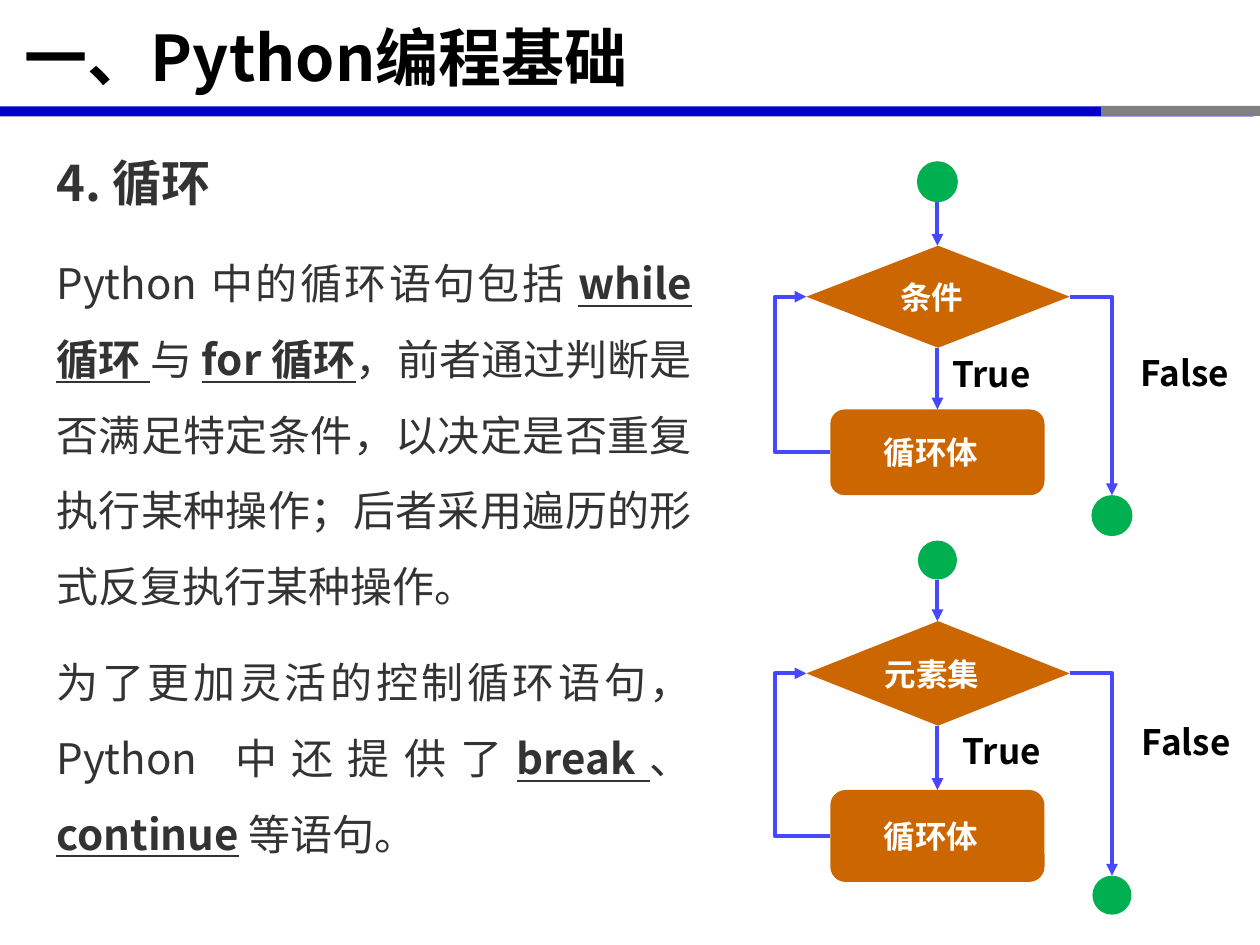
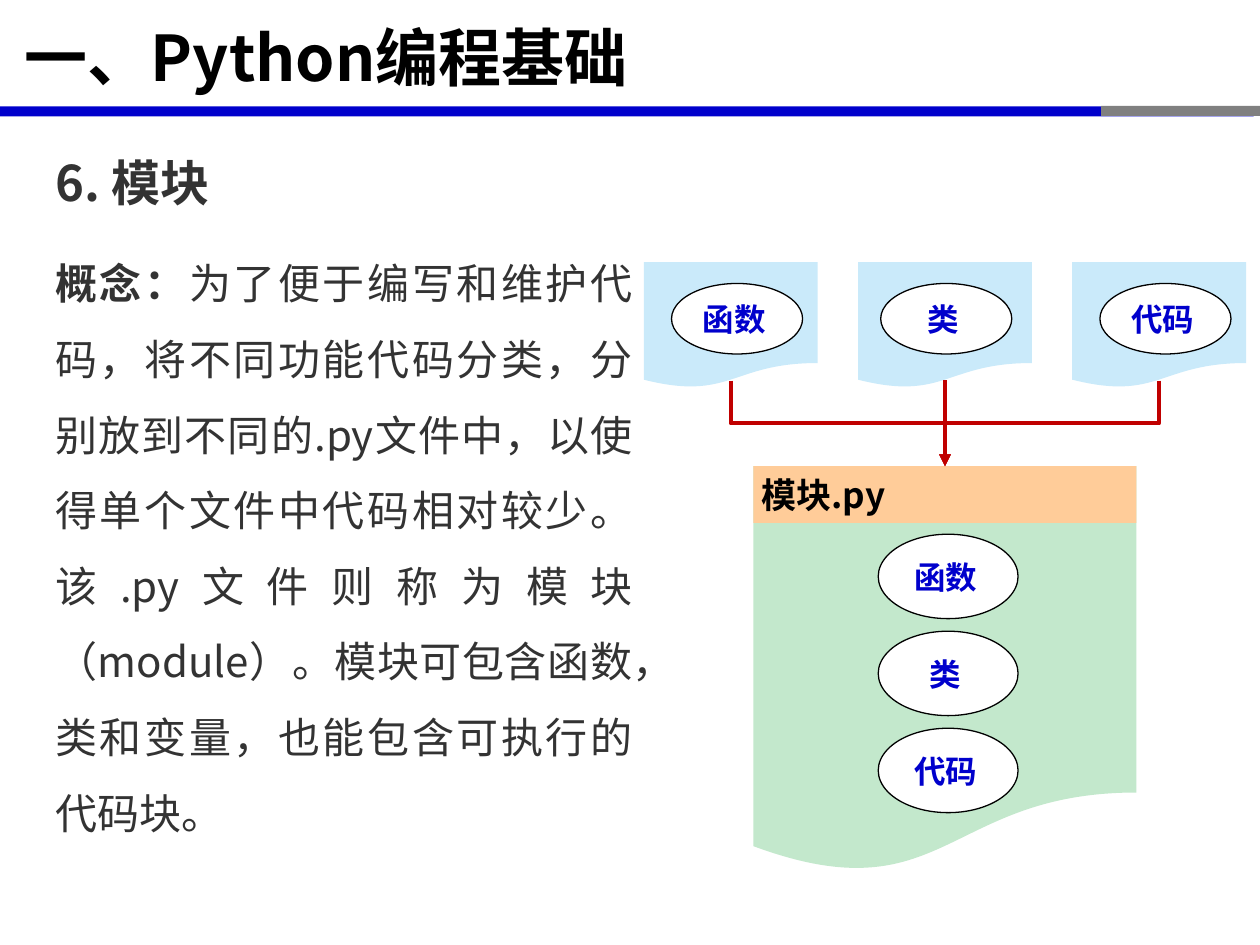
from lxml.etree import SubElement
from pptx import Presentation
from pptx.dml.color import RGBColor
from pptx.enum.shapes import MSO_CONNECTOR as Link, MSO_SHAPE as Form
from pptx.enum.text import MSO_ANCHOR as Anchor, PP_ALIGN as Align
from pptx.oxml.ns import qn
from pptx.util import Inches, Pt

BLACK = RGBColor(0x00, 0x00, 0x00)
WHITE = RGBColor(0xFF, 0xFF, 0xFF)
BLUE = RGBColor(0x00, 0x00, 0xCC)
GRAY = RGBColor(0x80, 0x80, 0x80)
INK = RGBColor(0x33, 0x33, 0x33)
GREEN = RGBColor(0x00, 0xB0, 0x50)
ORANGE = RGBColor(0xCC, 0x66, 0x00)
ARROW_BLUE = RGBColor(0x47, 0x47, 0xFF)
ARROW_RED = RGBColor(0xC0, 0x00, 0x00)
PAGE_BLUE = RGBColor(0xCA, 0xEA, 0xFA)
PAGE_GREEN = RGBColor(0xC3, 0xE8, 0xCC)
PEACH = RGBColor(0xFF, 0xCC, 0x99)

FONT = "Noto Sans CJK SC"
COLUMNS, ROWS = 100, 75

HEADING = {"size": Pt(28), "bold": True}
PLAIN = {"size": Pt(24), "bold": False}
STRONG = {"size": Pt(24), "bold": True}
KEYWORD = {"size": Pt(24), "bold": True, "underline": True}
TITLE = {"size": Pt(36), "bold": True}
LABEL = {"size": Pt(20), "bold": True}
NODE = {"size": Pt(18), "bold": True}

NODE_MARGINS = (0, 0.5, 1, 0.5)
LABEL_MARGINS = (0, 0.5, 0, 0.5)
BOX_MARGINS = (1, 0.5, 1, 0.5)


class Deck:
    def __init__(self):
        self.show = Presentation()
        self.show.slide_width, self.show.slide_height = Inches(10), Inches(7.5)
        self.column = self.show.slide_width / COLUMNS
        self.row = self.show.slide_height / ROWS
        self.slide = None

    def x(self, columns):
        return round(columns * self.column)

    def y(self, rows):
        return round(rows * self.row)

    def place(self, left, top, width, height):
        return self.x(left), self.y(top), self.x(width), self.y(height)

    def new_slide(self, title):
        self.slide = self.show.slides.add_slide(self.show.slide_layouts[6])
        self.shape(Form.RECTANGLE, (0, 8.45, 99.5, 0.8), BLUE)
        self.shape(Form.RECTANGLE, (87.4, 8.4, 12.6, 0.8), GRAY)
        self.text((1, 0.1, 97.6, 8.7), [[(title, TITLE)]], BLACK, anchor=Anchor.MIDDLE)

    def fill_frame(self, frame, paragraphs, color, margins, anchor, **paragraph_format):
        left, top, right, bottom = margins
        frame_format = {
            "word_wrap": True,
            "vertical_anchor": anchor,
            "margin_left": self.x(left),
            "margin_top": self.y(top),
            "margin_right": self.x(right),
            "margin_bottom": self.y(bottom),
        }
        for key, value in frame_format.items():
            setattr(frame, key, value)
        for index, pieces in enumerate(paragraphs):
            paragraph = frame.add_paragraph() if index else frame.paragraphs[0]
            for key, value in paragraph_format.items():
                setattr(paragraph, key, value)
            if index:
                paragraph.space_before = Pt(12)
            for wording, style in pieces:
                run = paragraph.add_run()
                run.text = wording
                for key, value in {"name": FONT, **style}.items():
                    setattr(run.font, key, value)
                run.font.color.rgb = color
                SubElement(run.font._element, qn("a:ea"), typeface=FONT)

    def text(self, area, paragraphs, color, margins=BOX_MARGINS, anchor=Anchor.TOP,
             **paragraph_format):
        box = self.slide.shapes.add_textbox(*self.place(*area))
        self.fill_frame(box.text_frame, paragraphs, color, margins, anchor, **paragraph_format)

    def body(self, area, paragraphs):
        self.text(area, paragraphs, INK, alignment=Align.JUSTIFY, line_spacing=1.5)

    def label(self, area, wording):
        self.text(area, [[(wording, LABEL)]], BLACK, LABEL_MARGINS, alignment=Align.CENTER)

    def shape(self, form, area, fill, wording=None, color=WHITE, outline=None, style=NODE,
              alignment=Align.CENTER):
        figure = self.slide.shapes.add_shape(form, *self.place(*area))
        figure.shadow.inherit = False
        figure.fill.solid()
        figure.fill.fore_color.rgb = fill
        if outline is None:
            figure.line.fill.background()
        else:
            figure.line.color.rgb = outline
            figure.line.width = Pt(0.75)
        if wording:
            self.fill_frame(figure.text_frame, [[(wording, style)]], color, NODE_MARGINS,
                            Anchor.MIDDLE, alignment=alignment)

    def oval(self, area, wording):
        self.shape(Form.OVAL, area, WHITE, wording, BLUE, BLACK)

    def arrow(self, start, end, color, kind=Link.STRAIGHT, preset=None, bend=None, turn=0):
        link = self.slide.shapes.add_connector(
            kind, self.x(start[0]), self.y(start[1]), self.x(end[0]), self.y(end[1]))
        link.line.color.rgb = color
        link.line.width = Pt(2.25)
        properties = link._element.spPr
        SubElement(properties.find(qn("a:ln")), qn("a:tailEnd"), type="triangle")
        SubElement(properties, qn("a:effectLst"))
        geometry = properties.find(qn("a:prstGeom"))
        if preset:
            geometry.set("prst", preset)
        if bend:
            SubElement(geometry.find(qn("a:avLst")), qn("a:gd"), name="adj1",
                       fmla=f"val {round(bend * 100000)}")
        if turn:
            properties.find(qn("a:xfrm")).set("rot", str(turn * 60000))

    def drop_arrow(self, start, end, color):
        (x1, y1), (x2, y2) = start, end
        middle_x, middle_y = (x1 + x2) / 2, (y1 + y2) / 2
        side = 1 if x2 > x1 else -1
        across, along = side * (y2 - y1) / 2, abs(x2 - x1) / 2
        self.arrow((middle_x + across, middle_y - along), (middle_x - across, middle_y + along),
                   color, Link.ELBOW, turn=270 if side > 0 else 90)

    def loop_flow(self, test, dot, start_top, test_top, test_height, body_top, body_height,
                  end_top, true_spot, false_spot):
        axis, test_left, test_right = 74.4, 64, 84.9
        body_left, return_x, exit_x = 65.9, 61.5, 88.25
        test_middle = test_top + test_height / 2
        body_middle = body_top + body_height / 2
        self.shape(Form.OVAL, (axis - dot / 2, start_top, dot, dot), GREEN)
        self.shape(Form.DIAMOND, (test_left, test_top, 20.9, test_height), ORANGE, test)
        self.shape(Form.ROUNDED_RECTANGLE, (body_left, body_top, 17, body_height), ORANGE, "循环体")
        self.shape(Form.OVAL, (exit_x - dot / 2, end_top, dot, dot), GREEN)
        self.arrow((axis, start_top + dot), (axis, test_top), ARROW_BLUE)
        self.arrow((axis, test_top + test_height), (axis, body_top), ARROW_BLUE)
        self.arrow((body_left, body_middle), (test_left, test_middle), ARROW_BLUE, Link.ELBOW,
                   bend=(body_left - return_x) / (body_left - test_left))
        self.arrow((test_right, test_middle), (exit_x, end_top), ARROW_BLUE, Link.ELBOW,
                   preset="bentConnector2")
        self.label((*true_spot, 8.2, 5.2), "True")
        self.label((*false_spot, 11.7, 5.2), "False")


def loops_slide(deck):
    deck.new_slide("一、Python编程基础")
    deck.body((3.5, 9.3, 52.4, 59.9), [
        [("4. 循环", HEADING)],
        [("Python 中的循环语句包括 ", PLAIN), ("while 循环 ", KEYWORD), ("与 ", PLAIN),
         ("for 循环", KEYWORD),
         ("，前者通过判断是否满足特定条件，以决定是否重复执行某种操作；"
          "后者采用遍历的形式反复执行某种操作。", PLAIN)],
        [("为了更加灵活的控制循环语句，Python 中还提供了", PLAIN), ("break", KEYWORD),
         ("、", PLAIN), ("continue", KEYWORD), (" 等语句。", PLAIN)],
    ])
    deck.loop_flow("元素集", 3.1, 42.9, 49.3, 8.3, 62.7, 7.3, 69.5, (75.4, 57.4), (88.3, 56.7))
    deck.loop_flow("条件", 3.25, 12.8, 19.5, 8.1, 32.5, 6.8, 39.3, (74.6, 27.5), (88.2, 27.4))


def modules_slide(deck):
    deck.new_slide("一、Python编程基础")
    deck.body((3.4, 9.3, 47.8, 57.9), [
        [("6. 模块", HEADING)],
        [("概念：", STRONG),
         ("为了便于编写和维护代码，将不同功能代码分类，分别放到不同的.py文件中，"
          "以使得单个文件中代码相对较少。该.py文件则称为模块（module）。"
          "模块可包含函数，类和变量，也能包含可执行的代码块。", PLAIN)],
    ])
    parts = [(" 函数", 2.2), (" 类", 1.8), (" 代码", 2.2)]
    module_left, module_top, module_width = 59.8, 37, 30.4
    entry = (module_left + module_width / 2, module_top)

    deck.shape(Form.FLOWCHART_DOCUMENT, (module_left, module_top, module_width, 32.3), PAGE_GREEN)
    deck.shape(Form.RECTANGLE, (module_left, module_top, module_width, 4.5), PEACH, " 模块.py",
               BLACK, style=LABEL, alignment=Align.LEFT)
    for index, (part, inset) in enumerate(parts):
        page_left = 51.1 + 17 * index
        deck.shape(Form.FLOWCHART_DOCUMENT, (page_left, 20.8, 13.8, 10), PAGE_BLUE)
        deck.oval((page_left + inset, 22.5, 10.4, 5.6), part)
        deck.oval((69.7, 42.4 + 7.7 * index, 11.1, 6.7), part)

    deck.drop_arrow((58, 30.2), entry, ARROW_RED)
    deck.drop_arrow((92, 30.2), entry, ARROW_RED)
    deck.arrow((entry[0], 30.2), entry, ARROW_RED)


def main():
    deck = Deck()
    loops_slide(deck)
    modules_slide(deck)
    deck.show.save("out.pptx")


if __name__ == "__main__":
    main()
